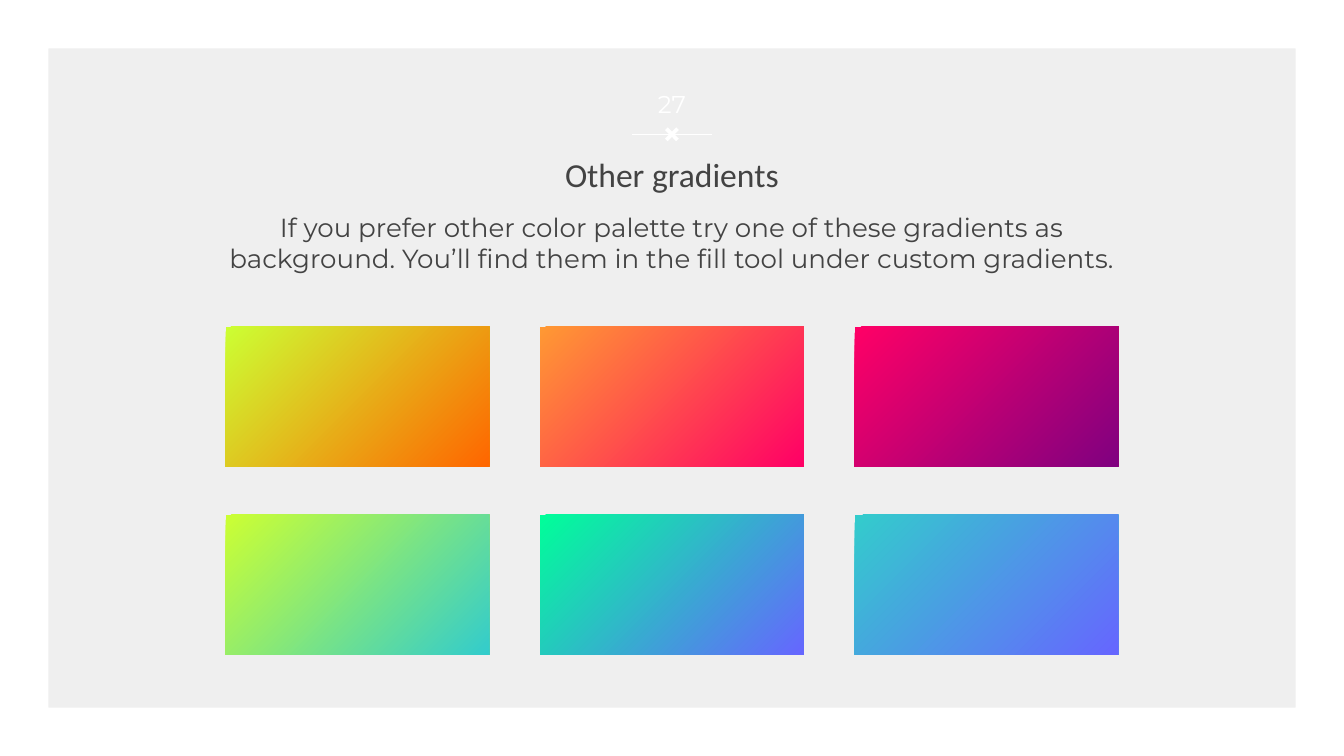
from pptx import Presentation
from pptx.dml.color import RGBColor
from pptx.enum.shapes import MSO_CONNECTOR, MSO_SHAPE as SHAPE
from pptx.enum.text import MSO_ANCHOR as ANCHOR, PP_ALIGN
from pptx.oxml.ns import qn
from pptx.util import Inches, Pt
from lxml.etree import SubElement

WIDTH, HEIGHT = 10, 5.625

WHITE = RGBColor(0xFF, 0xFF, 0xFF)
PALE = RGBColor(0xEF, 0xEF, 0xEF)
DARK = RGBColor(0x43, 0x43, 0x43)
LIME = RGBColor(0xCC, 0xFF, 0x33)
ORANGE = RGBColor(0xFF, 0x66, 0x00)
AMBER = RGBColor(0xFF, 0x99, 0x33)
PINK = RGBColor(0xFF, 0x00, 0x66)
PURPLE = RGBColor(0x80, 0x00, 0x80)
TEAL = RGBColor(0x33, 0xCC, 0xCC)
MINT = RGBColor(0x00, 0xFF, 0x99)
INDIGO = RGBColor(0x66, 0x66, 0xFF)

# Start and end colour of each swatch, row by row
GRADIENTS = [
    [(LIME, ORANGE), (AMBER, PINK), (PINK, PURPLE)],
    [(LIME, TEAL), (MINT, INDIGO), (TEAL, INDIGO)],
]


def add_shape(slide, kind, box, color=None):
    sp = slide.shapes.add_shape(kind, *map(Inches, box))
    sp.shadow.inherit = False
    sp.line.fill.background()
    if color is not None:
        sp.fill.solid()
        sp.fill.fore_color.rgb = color
    return sp


def add_text(slide, box, text, font, size, color, anchor=ANCHOR.MIDDLE, before=0):
    tf = slide.shapes.add_textbox(*map(Inches, box)).text_frame
    tf.word_wrap = True
    tf.vertical_anchor = anchor
    tf.margin_left = tf.margin_right = tf.margin_top = tf.margin_bottom = Inches(0.1)
    p = tf.paragraphs[0]
    p.text = text
    p.alignment = PP_ALIGN.CENTER
    p.space_before = Pt(before)
    p.font.name, p.font.size, p.font.color.rgb = font, Pt(size), color


def add_frame(slide, box):
    sp = add_shape(slide, SHAPE.FRAME, box, WHITE)
    sp.adjustments[0] = 0.064


def add_page_mark(slide, box, number):
    """Page number above a short rule with a cross at its middle."""
    x, y, w, h = box
    rule_y, mid, cross = y + h, x + w / 2, 0.16
    add_text(slide, (x, y, w, h * 0.9), number, "Montserrat", 13, WHITE)
    rule = slide.shapes.add_connector(
        MSO_CONNECTOR.STRAIGHT, *map(Inches, (x, rule_y, x + w, rule_y)))
    rule.line.color.rgb = WHITE
    rule.line.width = Pt(0.75)
    SubElement(rule.element.spPr, qn("a:effectLst"))
    sp = add_shape(slide, SHAPE.MATH_MULTIPLY,
                   (mid - cross / 2, rule_y - cross / 2, cross, cross), WHITE)
    sp.adjustments[0] = 0.174


def add_swatches(slide, box, gradients, gap_x, gap_y):
    x, y, w, h = box
    rows, cols = len(gradients), len(gradients[0])
    cell_w = (w - gap_x * (cols - 1)) / cols
    cell_h = (h - gap_y * (rows - 1)) / rows
    for i, row in enumerate(gradients):
        for j, colors in enumerate(row):
            sp = add_shape(slide, SHAPE.RECTANGLE,
                           (x + j * (cell_w + gap_x), y + i * (cell_h + gap_y),
                            cell_w, cell_h))
            sp.fill.gradient()
            sp.fill.gradient_angle = 315  # top left to bottom right
            for stop, color in zip(sp.fill.gradient_stops, colors):
                stop.color.rgb = color


def main():
    prs = Presentation()
    prs.slide_width, prs.slide_height = Inches(WIDTH), Inches(HEIGHT)
    slide = prs.slides.add_slide(prs.slide_layouts[6])
    slide.background.fill.solid()
    slide.background.fill.fore_color.rgb = PALE

    # Frame and page mark
    add_frame(slide, (0, 0, WIDTH, HEIGHT))
    add_page_mark(slide, (4.7, 0.58, 0.6, 0.42), "27")

    # Title and body
    add_text(slide, (0.36, 1.08, 9.28, 0.43), "Other gradients", "Calibri", 18, DARK)
    add_text(slide, (1.56, 1.47, 6.88, 1.07),
             "If you prefer other color palette try one of these gradients as "
             "background. You’ll find them in the fill tool under custom gradients.",
             "Montserrat", 14, DARK, ANCHOR.TOP, before=6)

    # Gradient swatches
    add_swatches(slide, (1.68, 2.43, 6.64, 2.44), GRADIENTS, 0.38, 0.36)
    prs.save("out.pptx")


if __name__ == "__main__":
    main()
